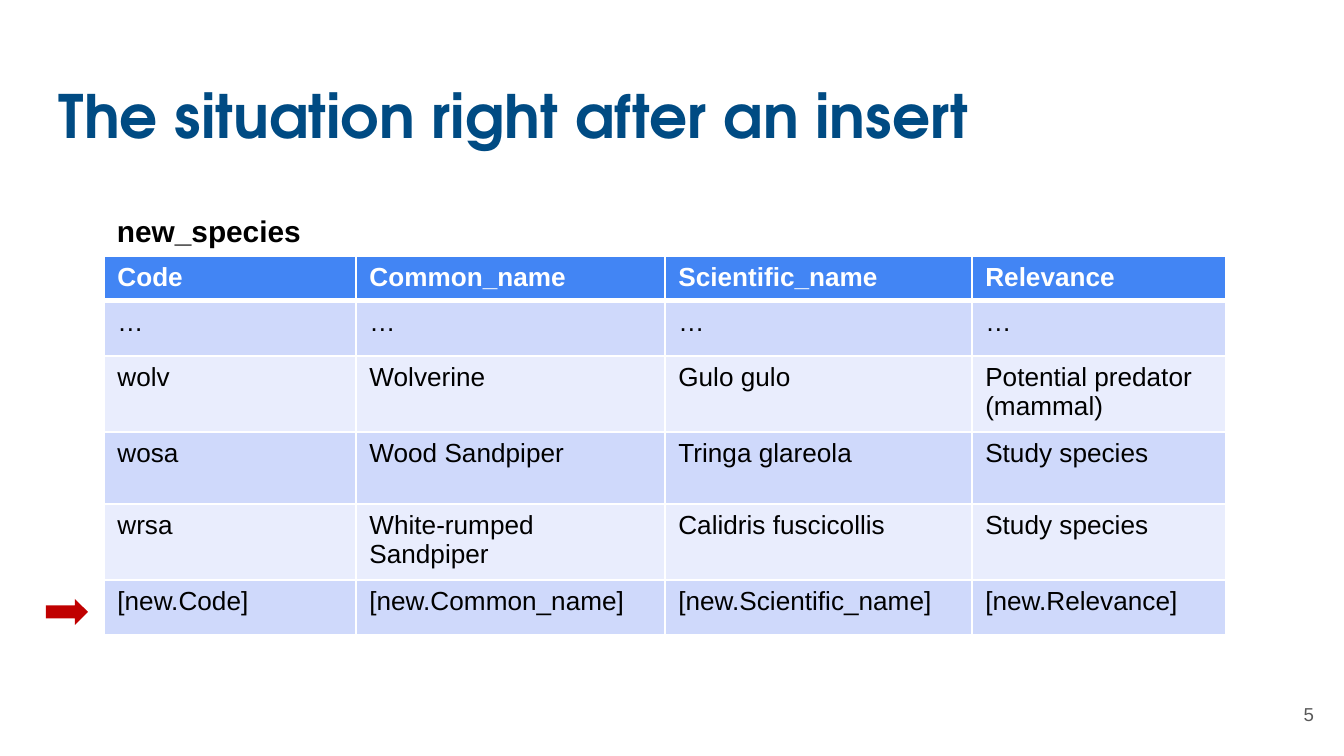
from dataclasses import dataclass

from lxml import etree
from pptx import Presentation
from pptx.dml.color import RGBColor
from pptx.enum.shapes import MSO_SHAPE
from pptx.enum.text import MSO_ANCHOR, PP_ALIGN
from pptx.oxml.ns import qn
from pptx.slide import Slide
from pptx.table import _Cell
from pptx.text.text import _Paragraph
from pptx.util import Emu, Pt

RIGHT_ARROW = MSO_SHAPE.RIGHT_ARROW
TOP, MIDDLE = MSO_ANCHOR.TOP, MSO_ANCHOR.MIDDLE
LEFT, RIGHT = PP_ALIGN.LEFT, PP_ALIGN.RIGHT
EMU_PER_INCH = 914400
PIXELS_PER_INCH = 134.4


def px(length: int) -> Emu:
    return Emu(round(length * EMU_PER_INCH / PIXELS_PER_INCH))


@dataclass(frozen=True)
class TextStyle:
    size: int
    color: str
    bold: bool = False
    font: str = "Arial"


@dataclass(frozen=True)
class Theme:
    title: TextStyle = TextStyle(32, "004B83", True, "TeX Gyre Adventor")
    page_number: TextStyle = TextStyle(10, "595959")
    caption: TextStyle = TextStyle(16, "000000", True)
    header: TextStyle = TextStyle(14, "FFFFFF", True)
    body: TextStyle = TextStyle(14, "000000")
    header_fill: str = "4285F4"
    band_fills: tuple[str, str] = ("CFD9FB", "E9EDFD")
    border: str = "FFFFFF"
    thin_border: int = 1
    thick_border: int = 3
    arrow: str = "C00000"


@dataclass(frozen=True)
class Box:
    left: int
    top: int
    width: int
    height: int

    def emu(self) -> tuple[Emu, Emu, Emu, Emu]:
        return px(self.left), px(self.top), px(self.width), px(self.height)


@dataclass(frozen=True)
class Label:
    text: str
    box: Box
    style: TextStyle
    margin: tuple[int, int] = (13, 13)
    anchor: MSO_ANCHOR = TOP
    alignment: PP_ALIGN = LEFT


THEME = Theme()
LABELS = [
    Label("The situation right after an insert", Box(46, 66, 1253, 85), THEME.title),
    Label("5", Box(1246, 685, 81, 58), THEME.page_number, anchor=MIDDLE, alignment=RIGHT),
    Label("new_species", Box(104, 206, 237, 50), THEME.caption, margin=(13, 7)),
]
ARROW_BOX = Box(46, 599, 42, 26)
TABLE_LEFT, TABLE_TOP = 104, 256
COLUMN_WIDTHS = [252, 309, 307, 254]
ROW_HEIGHTS = [43, 55, 72, 72, 72, 55]
SPECIES_ROWS = [
    ["Code", "Common_name", "Scientific_name", "Relevance"],
    ["…"] * 4,
    ["wolv", "Wolverine", "Gulo gulo", "Potential predator (mammal)"],
    ["wosa", "Wood Sandpiper", "Tringa glareola", "Study species"],
    ["wrsa", "White-rumped Sandpiper", "Calidris fuscicollis", "Study species"],
    ["[new.Code]", "[new.Common_name]", "[new.Scientific_name]", "[new.Relevance]"],
]


def add_run(paragraph: _Paragraph, text: str, style: TextStyle) -> None:
    run = paragraph.add_run()
    run.text = text
    run.font.name = style.font
    run.font.size = Pt(style.size)
    run.font.bold = style.bold
    run.font.color.rgb = RGBColor.from_string(style.color)


def add_label(slide: Slide, label: Label) -> None:
    frame = slide.shapes.add_textbox(*label.box.emu()).text_frame
    frame.word_wrap = True
    frame.vertical_anchor = label.anchor
    horizontal, vertical = label.margin
    frame.margin_left = frame.margin_right = px(horizontal)
    frame.margin_top = frame.margin_bottom = px(vertical)
    paragraph = frame.paragraphs[0]
    paragraph.alignment = label.alignment
    add_run(paragraph, label.text, label.style)


def set_borders(cell: _Cell, row_index: int) -> None:
    thin, thick = THEME.thin_border, THEME.thick_border
    widths = {
        "a:lnL": thin,
        "a:lnR": thin,
        "a:lnT": thick if row_index == 1 else thin,
        "a:lnB": thick if row_index == 0 else thin,
    }
    properties = cell._tc.get_or_add_tcPr()
    for tag, width in widths.items():
        line = etree.SubElement(properties, qn(tag), w=str(Pt(width)))
        fill = etree.SubElement(line, qn("a:solidFill"))
        etree.SubElement(fill, qn("a:srgbClr"), val=THEME.border)


def fill_cell(cell: _Cell, text: str, row_index: int) -> None:
    is_header = row_index == 0
    color = THEME.header_fill if is_header else THEME.band_fills[(row_index - 1) % 2]
    set_borders(cell, row_index)
    cell.fill.solid()
    cell.fill.fore_color.rgb = RGBColor.from_string(color)
    style = THEME.header if is_header else THEME.body
    add_run(cell.text_frame.paragraphs[0], text, style)


def add_species_table(slide: Slide) -> None:
    box = Box(TABLE_LEFT, TABLE_TOP, sum(COLUMN_WIDTHS), sum(ROW_HEIGHTS))
    shape = slide.shapes.add_table(len(ROW_HEIGHTS), len(COLUMN_WIDTHS), *box.emu())
    table = shape.table
    for column, width in zip(table.columns, COLUMN_WIDTHS):
        column.width = px(width)
    for row, height in zip(table.rows, ROW_HEIGHTS):
        row.height = px(height)
    for row_index, texts in enumerate(SPECIES_ROWS):
        for column_index, text in enumerate(texts):
            fill_cell(table.cell(row_index, column_index), text, row_index)


def add_insert_arrow(slide: Slide) -> None:
    shape = slide.shapes.add_shape(RIGHT_ARROW, *ARROW_BOX.emu())
    shape.shadow.inherit = False
    shape.fill.solid()
    shape.fill.fore_color.rgb = RGBColor.from_string(THEME.arrow)
    shape.line.fill.background()


def main() -> None:
    presentation = Presentation()
    presentation.slide_width, presentation.slide_height = px(1344), px(756)
    slide = presentation.slides.add_slide(presentation.slide_layouts[6])
    for label in LABELS:
        add_label(slide, label)
    add_species_table(slide)
    add_insert_arrow(slide)
    presentation.save("out.pptx")


if __name__ == "__main__":
    main()
